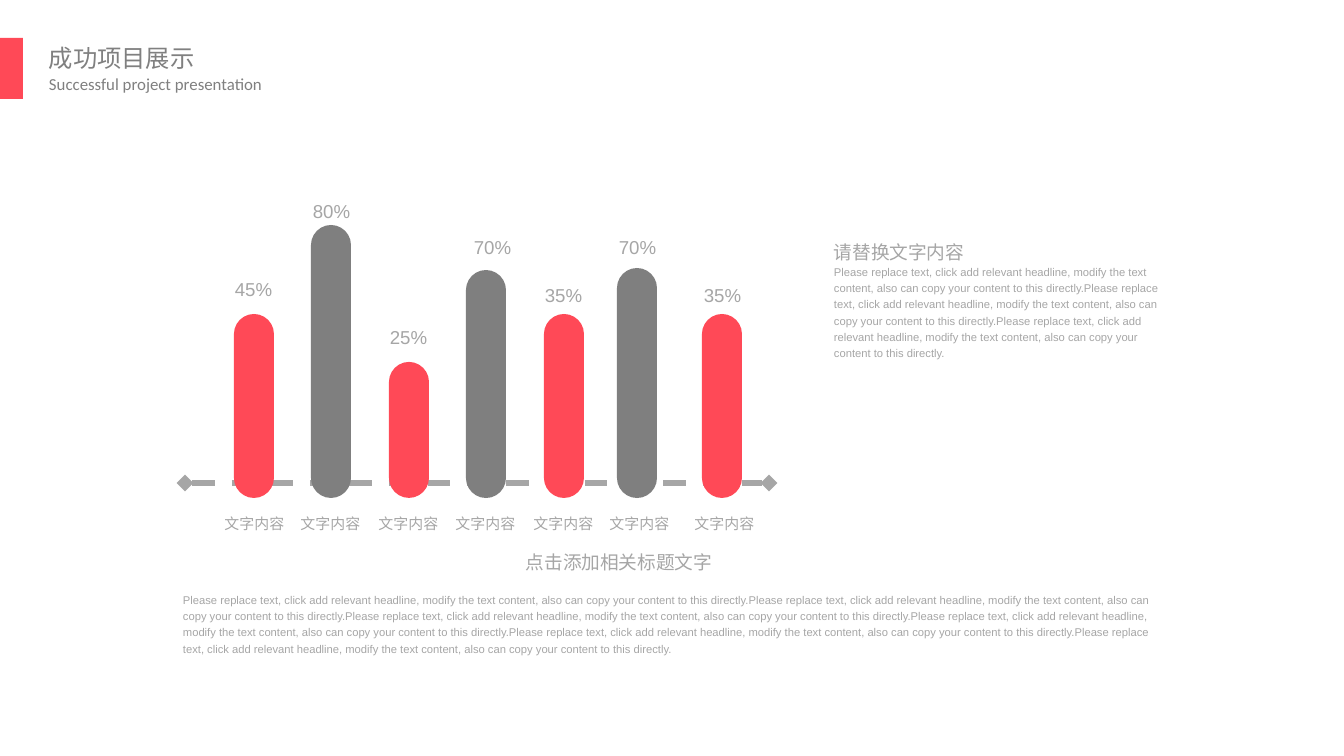
from lxml.etree import SubElement
from pptx import Presentation
from pptx.dml.color import RGBColor
from pptx.enum.dml import MSO_LINE_DASH_STYLE as Dash
from pptx.enum.shapes import MSO_CONNECTOR as Connector, MSO_SHAPE as Shape
from pptx.enum.text import MSO_ANCHOR as Anchor, MSO_AUTO_SIZE as AutoSize, PP_ALIGN as Align
from pptx.oxml.ns import qn
from pptx.util import Pt

EMU_PER_PIXEL = 914400 / 134.4
RED, GRAY, TITLE_GRAY, LIGHT_GRAY = "FF4957", "7F7F7F", "808080", "A6A6A6"
CJK_FONT = "Noto Sans CJK SC"
SENTENCE = ("Please replace text, click add relevant headline, modify the text content, "
            "also can copy your content to this directly.")
BAR_WIDTH, BAR_BOTTOM = 40, 498
# bar left, bar top, value, value left, value top, category left
BARS = [
    (234, 314, "45%", 230, 270, 211),
    (311, 225, "80%", 308, 192, 287),
    (389, 362, "25%", 385, 318, 365),
    (466, 270, "70%", 469, 228, 442),
    (544, 314, "35%", 540, 276, 520),
    (617, 268, "70%", 614, 228, 596),
    (702, 314, "35%", 699, 276, 681),
]


def px(pixels):
    """Convert pixels to EMU."""
    return round(pixels * EMU_PER_PIXEL)


def rgb(color):
    """Turn a hex string into a colour."""
    return RGBColor.from_string(color)


def box(left, top, width, height):
    """Convert a pixel rectangle to EMU."""
    return [px(value) for value in (left, top, width, height)]


def write(shape, text, size, color=LIGHT_GRAY, font="Arial", align=Align.LEFT,
          anchor=Anchor.TOP, spacing=1.2, inset=(0, 0), wrap=True):
    """Put one formatted paragraph into a shape."""
    frame = shape.text_frame
    frame.text = text
    frame.word_wrap = wrap
    frame.auto_size = AutoSize.NONE
    frame.vertical_anchor = anchor
    frame.margin_left = frame.margin_right = px(inset[0])
    frame.margin_top = frame.margin_bottom = px(inset[1])
    paragraph = frame.paragraphs[0]
    paragraph.alignment = align
    paragraph.line_spacing = spacing
    paragraph.font.name = font
    paragraph.font.size = Pt(size)
    paragraph.font.color.rgb = rgb(color)


def add_text(slide, bounds, text, size, **options):
    """Add an unfilled rectangular outline that holds text."""
    left, top, width, height = bounds
    right, bottom = left + width, top + height
    builder = slide.shapes.build_freeform(left, top, scale=EMU_PER_PIXEL)
    builder.add_line_segments([(right, top), (right, bottom), (left, bottom)], close=True)
    shape = builder.convert_to_shape()
    shape.shadow.inherit = False
    shape.fill.background()
    shape.line.fill.background()
    write(shape, text, size, **options)


def add_block(slide, kind, bounds, color):
    """Add a filled shape without an outline."""
    shape = slide.shapes.add_shape(kind, *box(*bounds))
    shape.shadow.inherit = False
    shape.fill.solid()
    shape.fill.fore_color.rgb = rgb(color)
    shape.line.fill.background()
    return shape


def add_heading(slide):
    """Add the red tab, the title and the subtitle."""
    add_block(slide, Shape.RECTANGLE, (0, 38, 23, 61), RED)
    title = slide.shapes.title
    title.left, title.top, title.width, title.height = box(39, 38, 168, 39)
    heading = {"color": TITLE_GRAY, "spacing": 1.0, "inset": (10, 5), "wrap": False}
    write(title, "成功项目展示", 13, font=CJK_FONT, **heading)
    run_properties = title.text_frame.paragraphs[0].runs[0]._r.get_or_add_rPr()
    SubElement(run_properties, qn("a:ea"), typeface=CJK_FONT)
    subtitle = slide.shapes.add_textbox(*box(39, 69, 237, 31))
    write(subtitle, "Successful project presentation", 9, font="Calibri", **heading)


def add_axis(slide):
    """Add the dashed base line with diamond ends."""
    axis = slide.shapes.add_connector(Connector.STRAIGHT, px(185), px(483), px(769), px(483))
    axis.line.color.rgb = rgb(LIGHT_GRAY)
    axis.line.width = Pt(3)
    axis.line.dash_style = Dash.DASH
    for end in ("headEnd", "tailEnd"):
        SubElement(axis.line._get_or_add_ln(), qn(f"a:{end}"), type="diamond")
    SubElement(axis._element.spPr, qn("a:effectLst"))


def add_bars(slide):
    """Add the rounded bars with their values and categories."""
    label = {"align": Align.CENTER, "anchor": Anchor.MIDDLE}
    for index, (left, top, value, value_left, value_top, category_left) in enumerate(BARS):
        bar = add_block(slide, Shape.ROUNDED_RECTANGLE,
                        (left, top, BAR_WIDTH, BAR_BOTTOM - top), (RED, GRAY)[index % 2])
        bar.adjustments[0] = 0.5
        add_text(slide, (value_left, value_top, 47, 34), value, 10, **label)
        add_text(slide, (category_left, 512, 87, 19), "文字内容", 8, **label)


def main():
    """Build the slide and save it."""
    presentation = Presentation()
    presentation.slide_width, presentation.slide_height = px(1344), px(756)
    slide = presentation.slides.add_slide(presentation.slide_layouts[5])
    add_heading(slide)
    add_axis(slide)
    add_bars(slide)
    add_text(slide, (834, 236, 153, 27), "请替换文字内容", 10, align=Align.JUSTIFY)
    add_text(slide, (834, 263, 327, 98), SENTENCE * 3, 6)
    add_text(slide, (526, 546, 194, 27), "点击添加相关标题文字", 10, align=Align.JUSTIFY)
    add_text(slide, (183, 591, 978, 62), SENTENCE * 6, 6)
    presentation.save("out.pptx")


main()
